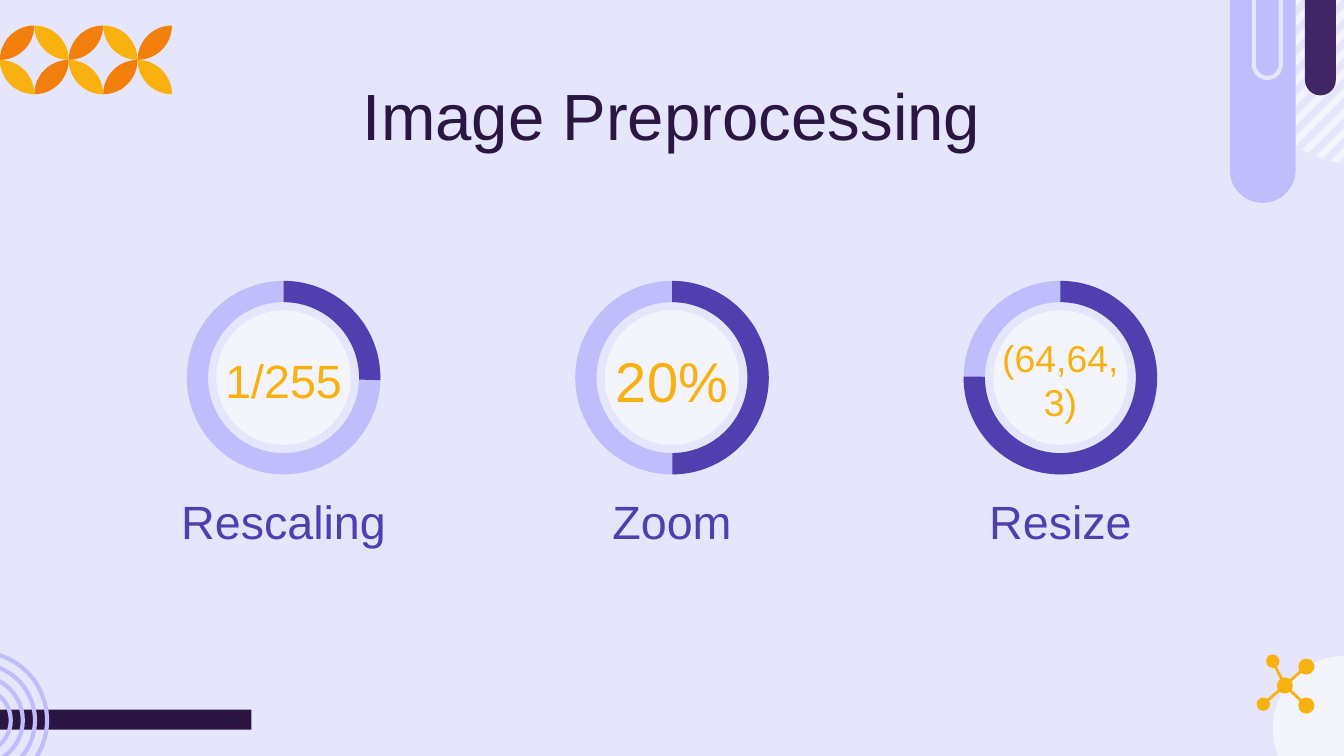
import dataclasses
import math
import typing

import pptx
import pptx.dml.color
import pptx.enum.shapes
import pptx.enum.text
import pptx.oxml
import pptx.oxml.ns
import pptx.util

Inches = pptx.util.Inches
SHAPES = pptx.enum.shapes.MSO_SHAPE
Point = typing.Tuple[float, float]

COLORS = {
    "back": "E5E6FC",
    "pale": "F4F4FD",
    "lilac": "BFBDFC",
    "violet": "523FAF",
    "plum": "402664",
    "dark": "2A1543",
    "gold": "F9B110",
    "orange": "F27F0C",
}


@dataclasses.dataclass
class Box:
    left: float
    top: float
    width: float
    height: float

    def lengths(self):
        return [Inches(v) for v in dataclasses.astuple(self)]


@dataclasses.dataclass
class Dial:
    value: str
    size: int
    label: str
    end: float  # end angle of the arc, in degrees


@dataclasses.dataclass
class Node:
    x: float
    y: float
    radius: float


DIALS = [
    Dial("1/255", 25, "Rescaling", 271.5),
    Dial("20%", 30, "Zoom", 359.83),
    Dial("(64,64,3)", 20, "Resize", 90.64),
]
HUB = Node(9.56, 5.1, 0.06)
NODES = [
    Node(9.47, 4.92, 0.05),
    Node(9.72, 4.96, 0.06),
    Node(9.4, 5.24, 0.05),
    Node(9.72, 5.25, 0.06),
]


def rgb(name: str):
    return pptx.dml.color.RGBColor.from_string(COLORS[name])


def paint(shape, fill: str = "", line: str = "") -> None:
    shape.shadow.inherit = False
    if fill:
        shape.fill.solid()
        shape.fill.fore_color.rgb = rgb(fill)
    else:
        shape.fill.background()
    if line:
        shape.line.color.rgb = rgb(line)
        shape.line.width = pptx.util.Pt(2.25)
    else:
        shape.line.fill.background()


def add_shape(slide, kind, box: Box, fill: str = "", line: str = "",
              adjust: typing.Sequence[float] = (), turn: float = 0) -> None:
    shape = slide.shapes.add_shape(kind, *box.lengths())
    for i, value in enumerate(adjust):
        shape.adjustments[i] = value
    shape.rotation = turn
    paint(shape, fill, line)


def add_disc(slide, x: float, y: float, radius: float,
             fill: str = "", line: str = "") -> None:
    box = Box(x - radius, y - radius, 2 * radius, 2 * radius)
    add_shape(slide, SHAPES.OVAL, box, fill, line)


def add_patch(slide, points: typing.List[Point], fill: str) -> None:
    spots = [(Inches(x), Inches(y)) for x, y in points]
    maker = slide.shapes.build_freeform(*spots[0])
    maker.add_line_segments(spots[1:], close=True)
    paint(maker.convert_to_shape(), fill)


def add_text(slide, box: Box, text: str, size: int, color: str,
             anchor=pptx.enum.text.MSO_ANCHOR.MIDDLE) -> None:
    frame = slide.shapes.add_textbox(*box.lengths()).text_frame
    pad = Inches(0.1)
    look = {"word_wrap": True, "vertical_anchor": anchor,
            "margin_left": pad, "margin_right": pad,
            "margin_top": pad, "margin_bottom": pad}
    for name, value in look.items():
        setattr(frame, name, value)
    para = frame.paragraphs[0]
    para.alignment = pptx.enum.text.PP_ALIGN.CENTER
    run = para.add_run()
    run.text = text
    for name, value in {"name": "Arial", "size": pptx.util.Pt(size)}.items():
        setattr(run.font, name, value)
    run.font.color.rgb = rgb(color)


def add_stripes(slide) -> None:
    """Cut a disc into twelve diagonal stripes, each with x + y near constant."""
    x, y, radius = 10.08, 0.44, 0.78
    for i in range(12):
        start = 9.47 + 1.63 * i / 11
        ends = []
        for total in (start, start + 0.07):
            off = (total - x - y) / 2
            half = math.sqrt(radius ** 2 / 2 - off ** 2)
            ends.append([(x + off + half, y + off - half),
                         (x + off - half, y + off + half)])
        add_patch(slide, ends[0] + ends[1][::-1], "pale")


def add_leaf(slide, left: float, top: float, side: float, rising: bool) -> None:
    """Draw the overlap of two quarter discs in a square."""
    steps = 12
    turns = [math.pi / 2 * i / steps for i in range(steps)]
    upper = [(math.sin(t), 1 - math.cos(t)) for t in turns]
    points = upper + [(1 - u, 1 - v) for u, v in upper]
    if rising:
        points = [(1 - u, v) for u, v in points]
    add_patch(slide, [(left + u * side, top + v * side) for u, v in points],
              "orange" if rising else "gold")


def add_leaves(slide) -> None:
    side = 1.28 / 5
    for col in range(5):
        for row in range(2):
            add_leaf(slide, col * side, 0.19 + row * side, side,
                     (col + row) % 2 == 0)


def add_pill(slide, box: Box, fill: str = "", line: str = "") -> None:
    add_shape(slide, SHAPES.ROUND_2_SAME_RECTANGLE, box, fill, line, (0, 0.5))


def add_web(slide) -> None:
    for node in NODES:
        link = slide.shapes.add_connector(
            pptx.enum.shapes.MSO_CONNECTOR.STRAIGHT,
            Inches(HUB.x), Inches(HUB.y), Inches(node.x), Inches(node.y))
        link.line.color.rgb = rgb("gold")
        link.line.width = pptx.util.Pt(1.5)
        link._element.spPr.append(
            pptx.oxml.parse_xml("<a:effectLst %s/>" % pptx.oxml.ns.nsdecls("a")))
    for node in [HUB] + NODES:
        add_disc(slide, node.x, node.y, node.radius, "gold")


def add_dial(slide, dial: Dial, x: float) -> None:
    ring = Box(x - 0.72, 2.09, 1.44, 1.44)
    add_disc(slide, x, 2.81, 0.5, "pale")
    add_shape(slide, SHAPES.DONUT, ring, "lilac", adjust=(0.11,), turn=90)
    # Angles are stored in 60000ths of a degree, adjustments in 100000ths
    add_shape(slide, SHAPES.BLOCK_ARC, ring, "violet",
              adjust=(180 * 0.6, dial.end * 0.6, 0.11), turn=90)
    add_text(slide, Box(x - 0.57, 2.44, 1.14, 0.77),
             dial.value, dial.size, "gold")
    add_text(slide, Box(x - 1.1, 3.57, 2.2, 0.44), dial.label, 25, "violet",
             pptx.enum.text.MSO_ANCHOR.TOP)


def main() -> None:
    deck = pptx.Presentation()
    deck.slide_width = Inches(10)
    deck.slide_height = Inches(10 * 9 / 16)
    slide = deck.slides.add_slide(deck.slide_layouts[6])
    slide.background.fill.solid()
    slide.background.fill.fore_color.rgb = rgb("back")

    add_shape(slide, SHAPES.RECTANGLE, Box(-0.25, 5.28, 2.12, 0.15), "dark")
    add_disc(slide, 10.01, 5.42, 0.54, "pale")
    for i in range(4):
        add_disc(slide, -0.16, 5.36, 0.51 - 0.09 * i, line="lilac")
    add_stripes(slide)
    add_pill(slide, Box(9.71, -0.03, 0.23, 0.74), "plum")
    add_pill(slide, Box(9.15, -0.03, 0.49, 1.54), "lilac")
    add_pill(slide, Box(9.33, -0.03, 0.2, 0.61), line="back")
    add_leaves(slide)
    add_web(slide)

    add_text(slide, Box(0.78, 0.59, 8.44, 0.52), "Image Preprocessing", 35, "dark")
    for i, dial in enumerate(DIALS):
        add_dial(slide, dial, 5 + 2.89 * (i - 1))
    deck.save("out.pptx")


if __name__ == "__main__":
    main()
